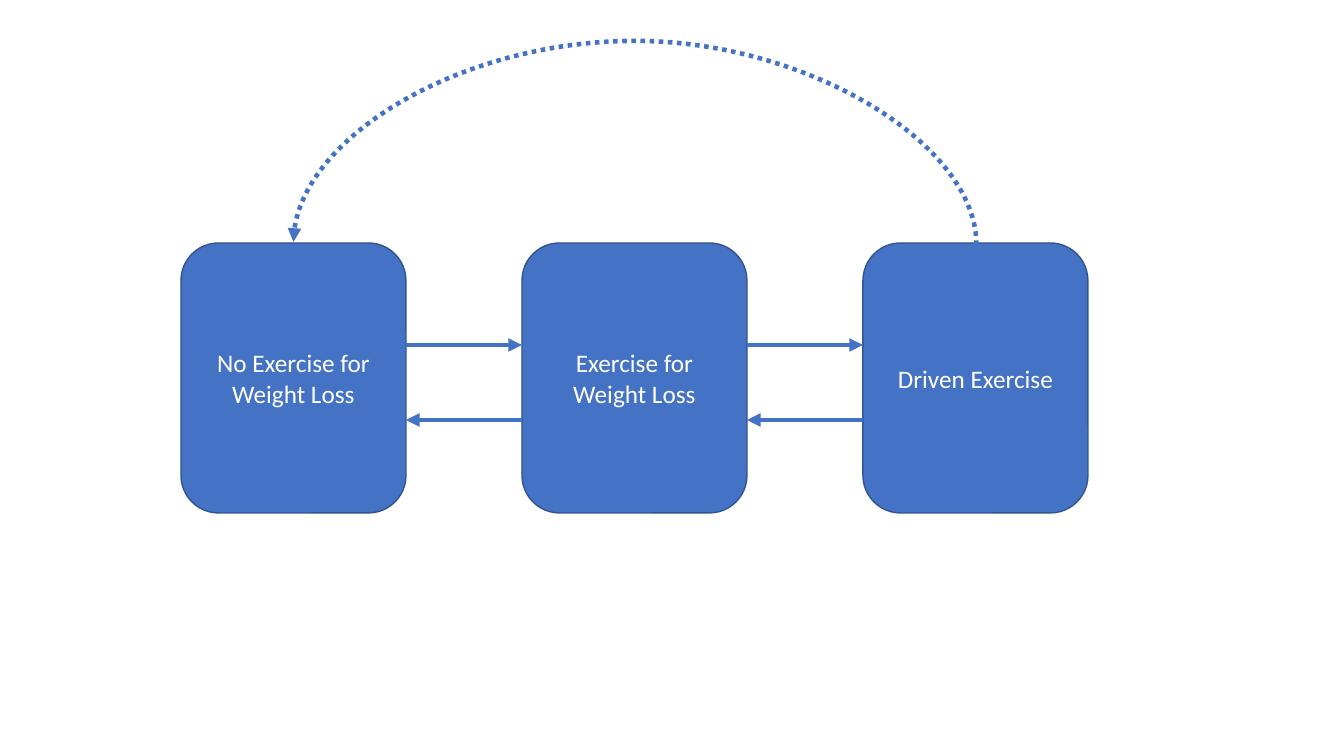
from lxml import etree
from pptx import Presentation
from pptx.dml.color import RGBColor
from pptx.enum.dml import MSO_LINE
from pptx.enum.shapes import MSO_CONNECTOR, MSO_SHAPE
from pptx.enum.text import MSO_ANCHOR, PP_ALIGN
from pptx.oxml.ns import qn
from pptx.util import Emu, Pt

PX = 914400 / 100.8
COLORS = {"blue": "4472C4", "outline": "325491", "text": "FFFFFF"}
STAGES = ["No Exercise for Weight Loss", "Exercise for Weight Loss", "Driven Exercise"]


def px(value):
    return Emu(round(value * PX))


def color(name):
    return RGBColor.from_string(COLORS[name])


def add_stage(slide, label, x, y, w, h):
    box = slide.shapes.add_shape(MSO_SHAPE.ROUNDED_RECTANGLE, *map(px, (x, y, w, h)))
    box.shadow.inherit = False
    box.fill.solid()
    box.fill.fore_color.rgb = color("blue")
    box.line.color.rgb = color("outline")
    box.line.width = Pt(1)
    frame = box.text_frame
    frame.word_wrap = True
    frame.vertical_anchor = MSO_ANCHOR.MIDDLE
    paragraph = frame.paragraphs[0]
    paragraph.alignment = PP_ALIGN.CENTER
    run = paragraph.add_run()
    run.text = label
    run.font.name = "Calibri"
    run.font.size = Pt(18)
    run.font.color.rgb = color("text")


def add_arrow(slide, kind, x1, y1, x2, y2):
    arrow = slide.shapes.add_connector(kind, *map(px, (x1, y1, x2, y2)))
    arrow.line.color.rgb = color("blue")
    arrow.line.width = Pt(3.25)
    etree.SubElement(arrow.line._ln, qn("a:tailEnd"), type="triangle")
    etree.SubElement(arrow._element.spPr, qn("a:effectLst"))
    return arrow


def add_return_arc(slide, x1, y1, x2, y2, rise):
    """Dotted arc from the last stage back to the first, peaking rise above its start."""
    # The connector frame stands upright and is turned onto its side
    span, drop = x1 - x2, y1 - y2
    mid_x, mid_y = (x1 + x2) / 2, (y1 + y2) / 2
    arc = add_arrow(slide, MSO_CONNECTOR.CURVE,
                    mid_x - drop / 2, mid_y + span / 2,
                    mid_x + drop / 2, mid_y - span / 2)
    arc.line.dash_style = MSO_LINE.ROUND_DOT
    properties = arc._element.spPr
    properties.find(qn("a:xfrm")).set("rot", str(270 * 60000))
    adjustments = properties.find(qn("a:prstGeom")).find(qn("a:avLst"))
    etree.SubElement(adjustments, qn("a:gd"), name="adj1",
                     fmla=f"val {round(rise / drop * 100000)}")


def add_stage_cycle(slide, x, y, w, h):
    # Stages
    box_w, box_h = 225, 270
    pitch = (w - box_w) / (len(STAGES) - 1)
    box_y = y + h - box_h
    lefts = [x + i * pitch for i in range(len(STAGES))]
    for label, left in zip(STAGES, lefts):
        add_stage(slide, label, left, box_y, box_w, box_h)

    # Forward and backward arrows in each gap
    for left, next_left in zip(lefts, lefts[1:]):
        edge = left + box_w
        add_arrow(slide, MSO_CONNECTOR.STRAIGHT, edge, box_y + 102, next_left, box_y + 102)
        add_arrow(slide, MSO_CONNECTOR.STRAIGHT, next_left, box_y + 177, edge, box_y + 177)

    # Return from last stage to first
    start_y = box_y + 2
    add_return_arc(slide, lefts[-1] + box_w / 2 + 1, start_y,
                   lefts[0] + box_w / 2, box_y - 1, start_y - y)


prs = Presentation()
prs.slide_width, prs.slide_height = px(1344), px(756)
cycle_slide = prs.slides.add_slide(prs.slide_layouts[6])
add_stage_cycle(cycle_slide, 181, 42, 907, 471)
prs.save("out.pptx")
